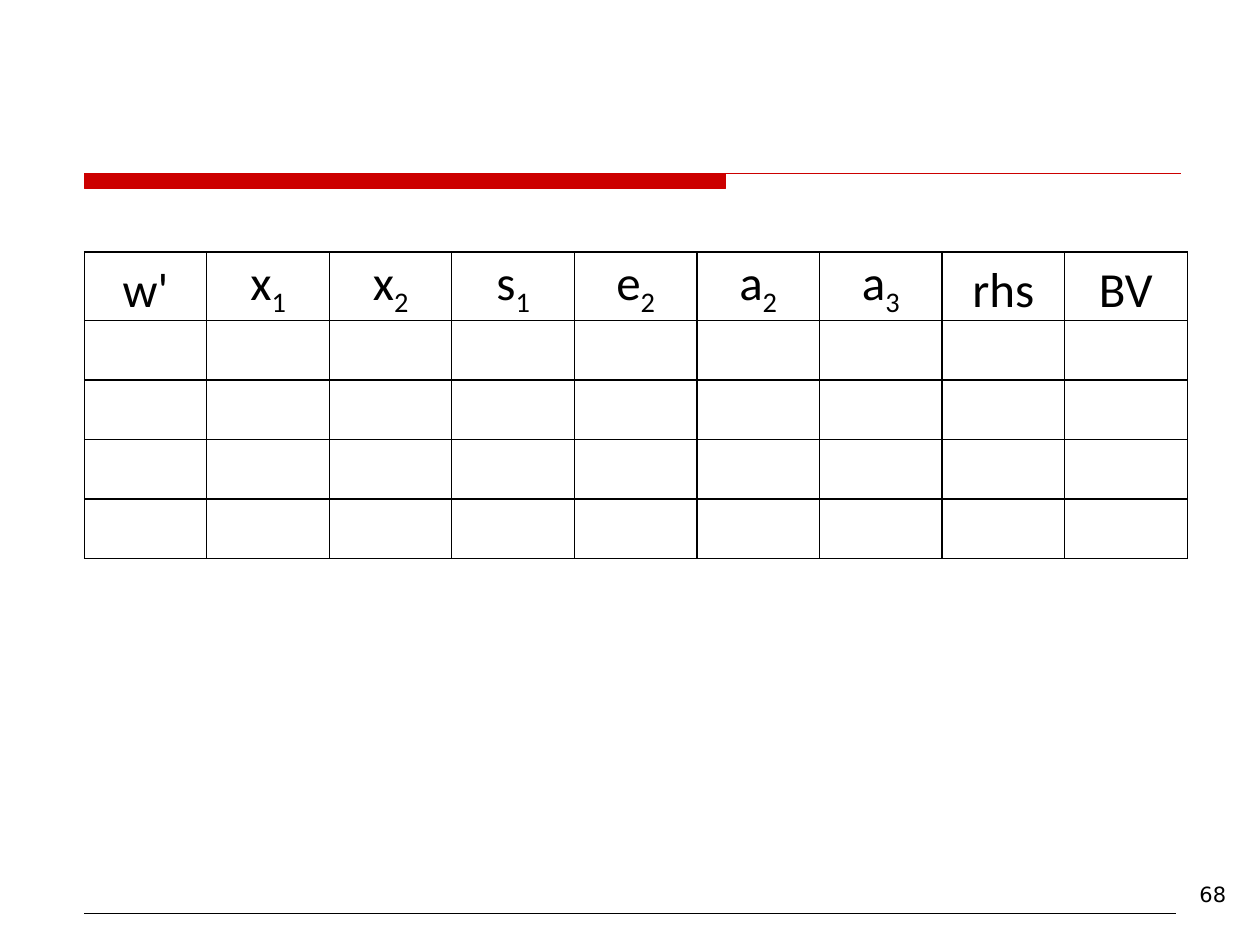
import pptx
import pptx.dml.color
import pptx.enum.shapes
import pptx.enum.text
import pptx.oxml
import pptx.oxml.ns
import pptx.util

Cm = pptx.util.Cm
Pt = pptx.util.Pt
RED, BLACK = "CC0000", "000000"
HEADS = [("w'", ""), ("x", "1"), ("x", "2"), ("s", "1"), ("e", "2"),
         ("a", "2"), ("a", "3"), ("rhs", ""), ("BV", "")]
BLANK_ROWS = 4
CELL = {"margin_left": Cm(0.03), "margin_right": Cm(0.03),
        "margin_top": Cm(0.03), "margin_bottom": 0,
        "vertical_anchor": pptx.enum.text.MSO_ANCHOR.BOTTOM}


def tint(code):
    return pptx.dml.color.RGBColor.from_string(code)


def apply(item, values):
    for name, value in values.items():
        setattr(item, name, value)


def style(run, name, size):
    apply(run.font, {"name": name, "size": Pt(size)})
    run.font.color.rgb = tint(BLACK)


def add_rule(slide, left, top, width, height):
    """Draw a thick bar over the left part of a thin full-width line."""
    bar = Cm(12.93)
    pen = slide.shapes.build_freeform(left, top)
    pen.add_line_segments([(left + bar, top), (left + bar, top + height),
                           (left, top + height)], close=True)
    pen.move_to(left, top)
    pen.add_line_segments([(left + width, top)], close=False)
    rule = pen.convert_to_shape()
    rule.shadow.inherit = False
    rule.fill.solid()
    rule.fill.fore_color.rgb = tint(RED)
    rule.line.color.rgb = tint(RED)
    rule.line.width = Pt(0.75)


def add_foot(slide, left, top, width, height):
    """Draw the bottom line and, to its right, the page number."""
    base, gap = top + Cm(0.76), Cm(1.93)
    line = slide.shapes.add_connector(
        pptx.enum.shapes.MSO_CONNECTOR.STRAIGHT,
        left, base, left + width - gap + Cm(1.7) - Cm(1.35), base)
    line.line.color.rgb = tint(BLACK)
    line.line.width = Pt(0.75)
    line._element.spPr.append(pptx.oxml.parse_xml(
        f'<a:effectLst {pptx.oxml.ns.nsdecls("a")}/>'))
    box = slide.shapes.add_textbox(left + width - Cm(1.35), top,
                                   Cm(1.35), height)
    box.text_frame.word_wrap = True
    run = box.text_frame.paragraphs[0].add_run()
    run.text = "68"
    style(run, "DejaVu Sans", 12)


def add_edges(cell):
    props = cell._tc.get_or_add_tcPr()
    for side in "LRTB":
        props.append(pptx.oxml.parse_xml(
            f'<a:ln{side} {pptx.oxml.ns.nsdecls("a")} w="9525"><a:solidFill>'
            f'<a:srgbClr val="{BLACK}"/></a:solidFill></a:ln{side}>'))


def fill_head(cell, base, sub):
    para = cell.text_frame.paragraphs[0]
    para.alignment = pptx.enum.text.PP_ALIGN.CENTER
    for text, shift in ((base, None), (sub, "-25000")):
        if text:
            run = para.add_run()
            run.text = text
            style(run, "Calibri", 28)
            if shift:
                run.font._element.set("baseline", shift)


def add_grid(slide, left, top, width, height):
    table = slide.shapes.add_table(BLANK_ROWS + 1, len(HEADS),
                                   left, top, width, height).table
    apply(table, {"first_row": False, "horz_banding": False})
    for col in table.columns:
        col.width = width // len(HEADS)
    head = Cm(1.37)
    for num, row in enumerate(table.rows):
        row.height = (height - head) // BLANK_ROWS if num else head
    for cell in table.iter_cells():
        apply(cell, CELL)
        add_edges(cell)
        cell.fill.background()
    for num, (base, sub) in enumerate(HEADS):
        fill_head(table.cell(0, num), base, sub)


def main():
    deck = pptx.Presentation()
    apply(deck, {"slide_width": Cm(25.4), "slide_height": Cm(19.05)})
    slide = deck.slides.add_slide(deck.slide_layouts[6])
    left = Cm(1.7)
    add_rule(slide, left, Cm(3.5), Cm(22.1), Cm(0.3))
    add_foot(slide, left, Cm(17.65), Cm(23.58), Cm(0.76))
    add_grid(slide, left, Cm(5.08), Cm(22.23), Cm(6.17))
    deck.save("out.pptx")


if __name__ == "__main__":
    main()
